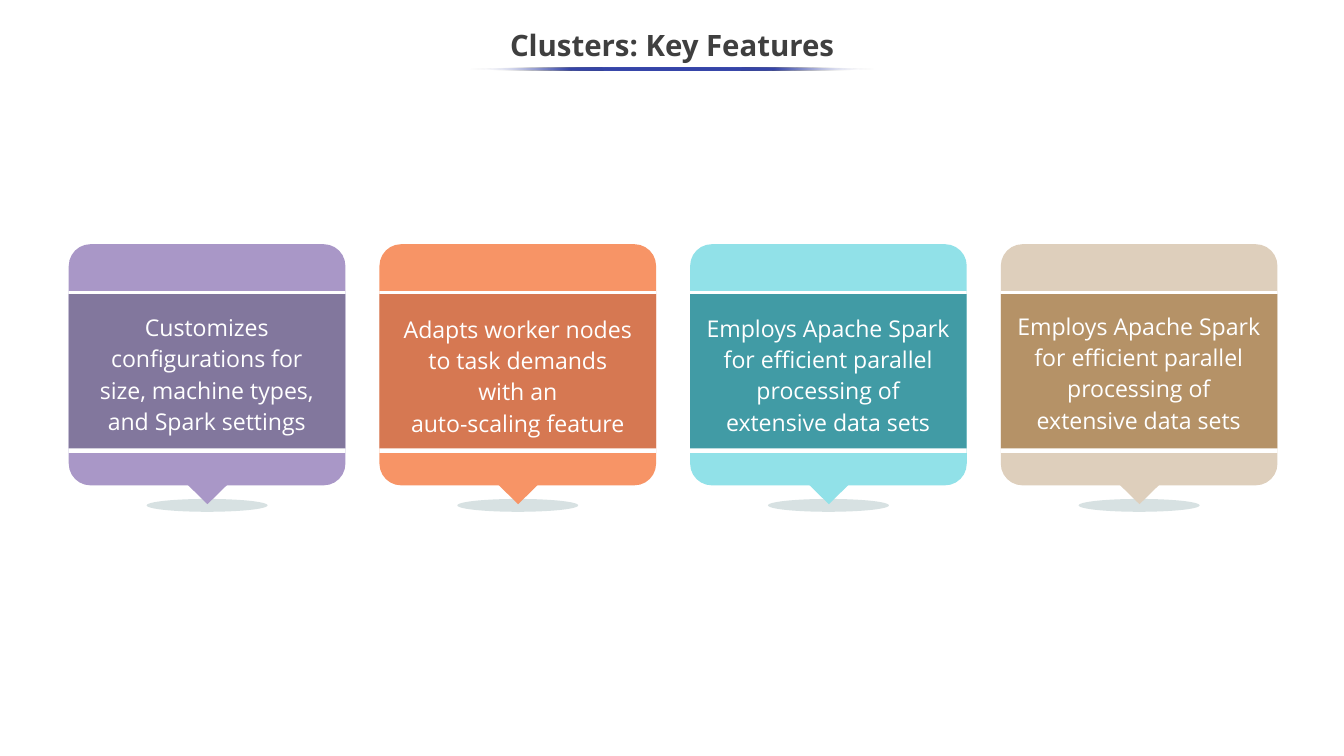
from lxml import etree
from pptx import Presentation
from pptx.dml.color import RGBColor
from pptx.enum.shapes import MSO_SHAPE
from pptx.enum.text import MSO_ANCHOR, MSO_AUTO_SIZE, PP_ALIGN
from pptx.oxml.ns import qn
from pptx.util import Pt

PX = 9144  # EMU per px, 100 px to the inch
FONT = "Open Sans"

ELLIPSE = MSO_SHAPE.OVAL
RECTANGLE = MSO_SHAPE.RECTANGLE
ROUNDED = MSO_SHAPE.ROUNDED_RECTANGLE
POINTER = MSO_SHAPE.FLOWCHART_MERGE
CENTER = PP_ALIGN.CENTER
MIDDLE = MSO_ANCHOR.MIDDLE
GROW = MSO_AUTO_SIZE.SHAPE_TO_FIT_TEXT

WHITE = RGBColor(0xFF, 0xFF, 0xFF)
DARK_GRAY = RGBColor(0x3F, 0x3F, 0x3F)
BLUE = RGBColor(0x36, 0x45, 0xA9)
SHADOW = RGBColor(0xD7, 0xE1, 0xE2)
PURPLE, DARK_PURPLE = RGBColor(0xA9, 0x97, 0xC7), RGBColor(0x82, 0x77, 0x9D)
ORANGE, DARK_ORANGE = RGBColor(0xF7, 0x94, 0x66), RGBColor(0xD6, 0x78, 0x52)
AQUA, DARK_AQUA = RGBColor(0x91, 0xE1, 0xE8), RGBColor(0x41, 0x9B, 0xA5)
SAND, DARK_SAND = RGBColor(0xDE, 0xCF, 0xBC), RGBColor(0xB5, 0x92, 0x67)

SPARK = ["Employs Apache Spark for efficient parallel processing of extensive data sets"]
# Light colour, dark colour, text offset, text width, paragraphs
CARDS = [
    (PURPLE, DARK_PURPLE, 82, 339,
     ["Customizes configurations for size, machine types, and Spark settings"]),
    (ORANGE, DARK_ORANGE, 84, 334,
     ["Adapts worker nodes to task demands", "with an", "auto-scaling feature"]),
    (AQUA, DARK_AQUA, 83, 347, SPARK),
    (SAND, DARK_SAND, 80, 347, SPARK),
]
CARD_LEFT, CARD_TOP, CARD_WIDTH, CARD_HEIGHT, CARD_STEP = 91, 323, 366, 319, 411


def emu(*lengths):
    return [length * PX for length in lengths]


def add_plain(shapes, kind, box, color):
    shape = shapes.add_shape(kind, *emu(*box))
    shape.shadow.inherit = False
    shape.fill.solid()
    shape.fill.fore_color.rgb = color
    shape.line.fill.background()
    return shape


def add_text(paragraph, text, size, color, spacing, bold=False):
    paragraph.alignment = CENTER
    paragraph.line_spacing = spacing
    run = paragraph.add_run()
    run.text = text
    run.font.name = FONT
    run.font.size = Pt(size)
    run.font.bold = bold
    run.font.color.rgb = color


def fade_ends(shape):
    """Blue fill that fades to clear at the left and right ends."""
    shape.fill.gradient()
    shape.fill.gradient_angle = 180
    stops = shape.fill._fill._gradFill.find(qn("a:gsLst"))
    for stop in list(stops):
        stops.remove(stop)
    for percent in (0, 25, 50, 75, 100):
        at_end = percent in (0, 100)
        stop = etree.SubElement(stops, qn("a:gs"), pos=str(percent * 1000))
        color = etree.SubElement(stop, qn("a:srgbClr"), val=str(WHITE if at_end else BLUE))
        if at_end:
            etree.SubElement(color, qn("a:alpha"), val="0")


def add_title(slide, left, top, width, height):
    title = slide.shapes.title
    title.left, title.top, title.width, title.height = emu(left, top, width, height)
    title.text_frame.vertical_anchor = MIDDLE
    add_text(title.text_frame.paragraphs[0], "Clusters: Key Features", 28, DARK_GRAY, 0.9, True)
    # Two overlaid underlines, both centred under the title
    for line_width in (490, 536):
        line_left = left + (width - line_width) // 2
        fade_ends(add_plain(slide.shapes, ELLIPSE, (line_left, top + 64, line_width, 4), BLUE))


def add_card(slide, left, top, width, height, card):
    light, dark, text_offset, text_width, texts = card
    shapes = slide.shapes.add_group_shape().shapes
    center = left + width // 2

    # Ground shadow, card body and pointer
    add_plain(shapes, ELLIPSE, (center - 80, top + height + 18, 160, 17), SHADOW)
    body = add_plain(shapes, ROUNDED, (left, top, width, height), light)
    body.adjustments[0] = 0.09
    add_plain(shapes, POINTER, (center - 26, top + height - 1, 53, 26), light)

    # White band behind the dark band
    add_plain(shapes, RECTANGLE, (left, top + 62, width, 214), WHITE)
    add_plain(shapes, RECTANGLE, (left, top + 66, width, 204), dark)

    # Feature text
    text_left = left + (width - text_width) // 2
    frame = shapes.add_textbox(*emu(text_left, top + text_offset, text_width, 175)).text_frame
    frame.word_wrap = True
    frame.auto_size = GROW
    for index, text in enumerate(texts):
        paragraph = frame.add_paragraph() if index else frame.paragraphs[0]
        add_text(paragraph, text, 22, WHITE, 1.13)


def main():
    presentation = Presentation()
    presentation.slide_width, presentation.slide_height = emu(1778, 1000)
    slide = presentation.slides.add_slide(presentation.slide_layouts[5])
    add_title(slide, -1, 25, 1780, 75)
    for index, card in enumerate(CARDS):
        left = CARD_LEFT + index * CARD_STEP
        add_card(slide, left, CARD_TOP, CARD_WIDTH, CARD_HEIGHT, card)
    presentation.save("out.pptx")


if __name__ == "__main__":
    main()
